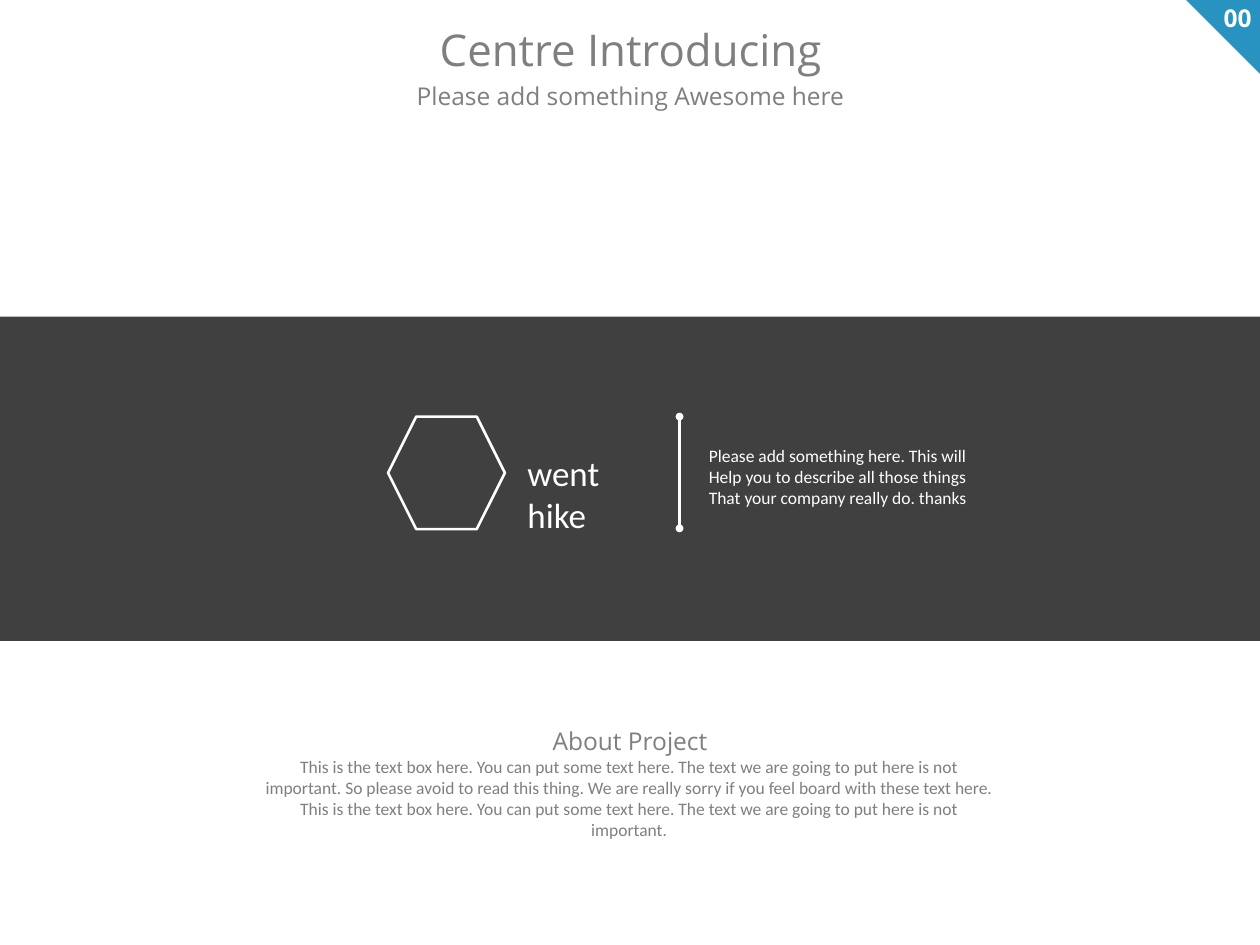
from lxml import etree
from pptx import Presentation
from pptx import util as u
from pptx.dml.color import RGBColor
from pptx.enum import shapes, text
from pptx.oxml.ns import qn

WHITE, GREY, DARK, BLUE = "FFFFFF", "7F7F7F", "404040", "2893C1"
HEAD, BODY = "Open Sans", "Calibri"
LEFT, MID, RIGHT = text.PP_ALIGN.LEFT, text.PP_ALIGN.CENTER, text.PP_ALIGN.RIGHT
KIND = shapes.MSO_SHAPE


def tint(code):
    return RGBColor.from_string(code)


def span(*sides):
    return [u.Inches(side) for side in sides]


class Deck:
    """Holds the file, the current slide and the style of its parts."""

    def __init__(self, wide, high):
        self.file = Presentation()
        self.file.slide_width, self.file.slide_height = span(wide, high)
        self.slide = self.file.slides.add_slide(self.file.slide_layouts[5])

    def style(self, box, words, size, font, hue, align, wrap, bold=False):
        frame = box.text_frame
        frame.text = words
        frame.word_wrap = wrap
        frame.auto_size = text.MSO_AUTO_SIZE.SHAPE_TO_FIT_TEXT
        frame.vertical_anchor = text.MSO_ANCHOR.TOP
        for line in frame.paragraphs:
            line.alignment = align
            for run in line.runs:
                run.font.size, run.font.name = u.Pt(size), font
                run.font.bold = bold
                run.font.color.rgb = tint(hue)

    def title(self, place, words, size):
        box = self.slide.shapes.title
        box.left, box.top, box.width, box.height = span(*place)
        self.style(box, words, size, HEAD, GREY, MID, False)

    def label(self, place, words, size=21, hue=GREY, align=MID, bold=False):
        """Adds one unwrapped line in the heading font."""
        box = self.slide.shapes.add_textbox(*span(*place))
        self.style(box, words, size, HEAD, hue, align, False, bold)

    def block(self, place, words, size=15, hue=WHITE, align=LEFT):
        """Adds wrapped text in the body font."""
        box = self.slide.shapes.add_textbox(*span(*place))
        self.style(box, words, size, BODY, hue, align, True)

    def shape(self, kind, place, fill):
        item = self.slide.shapes.add_shape(kind, *span(*place))
        item.shadow.inherit = False
        item.fill.solid()
        item.fill.fore_color.rgb = tint(fill)
        item.line.fill.background()
        return item

    def rule(self, start, end, hue, width):
        """Adds a line with a dot at each end."""
        line = self.slide.shapes.add_connector(
            shapes.MSO_CONNECTOR.STRAIGHT, *span(*start, *end))
        line.line.color.rgb = tint(hue)
        line.line.width = u.Pt(width)
        props = line.line._get_or_add_ln()
        for tip in ("a:headEnd", "a:tailEnd"):
            etree.SubElement(props, qn(tip), type="oval")
        etree.SubElement(line._element.spPr, qn("a:effectLst"))


def main():
    deck = Deck(15, 11.25)
    deck.title((5.13, 0.22, 4.76, 0.73), "Centre Introducing", 37.5)
    deck.label((4.84, 0.92, 5.33, 0.45), "Please add something Awesome here")

    corner = deck.shape(KIND.ISOSCELES_TRIANGLE, (14.11, -0.01, 0.89, 0.89), BLUE)
    corner.adjustments[0] = 0
    corner.rotation = 180
    deck.label((14.46, -0.01, 0.54, 0.45), "00", hue=WHITE, align=RIGHT, bold=True)

    deck.shape(KIND.RECTANGLE, (0, 3.77, 15, 3.86), DARK)
    emblem = deck.shape(KIND.HEXAGON, (4.62, 4.96, 1.39, 1.34), DARK)
    emblem.line.color.rgb = tint(WHITE)
    emblem.line.width = u.Pt(2.25)
    deck.block((6.18, 5.33, 1.71, 1.11), "went hike", 30)
    deck.rule((8.09, 4.96), (8.09, 6.29), WHITE, 2.25)
    deck.block((8.34, 5.25, 3.33, 0.86),
               "Please add something here. This will\n"
               "Help you to describe all those things\n"
               "That your company really do. thanks")

    deck.label((6.47, 8.59, 2.06, 0.45), "About Project")
    opening = ("This is the text box here. You can put some text here. "
               "The text we are going to put here is not important.")
    apology = ("So please avoid to read this thing. We are really sorry "
               "if you feel board with these text here.")
    deck.block((3.04, 8.95, 8.9, 0.86), f"{opening} {apology} {opening}",
               hue=GREY, align=MID)
    deck.file.save("out.pptx")


if __name__ == "__main__":
    main()
